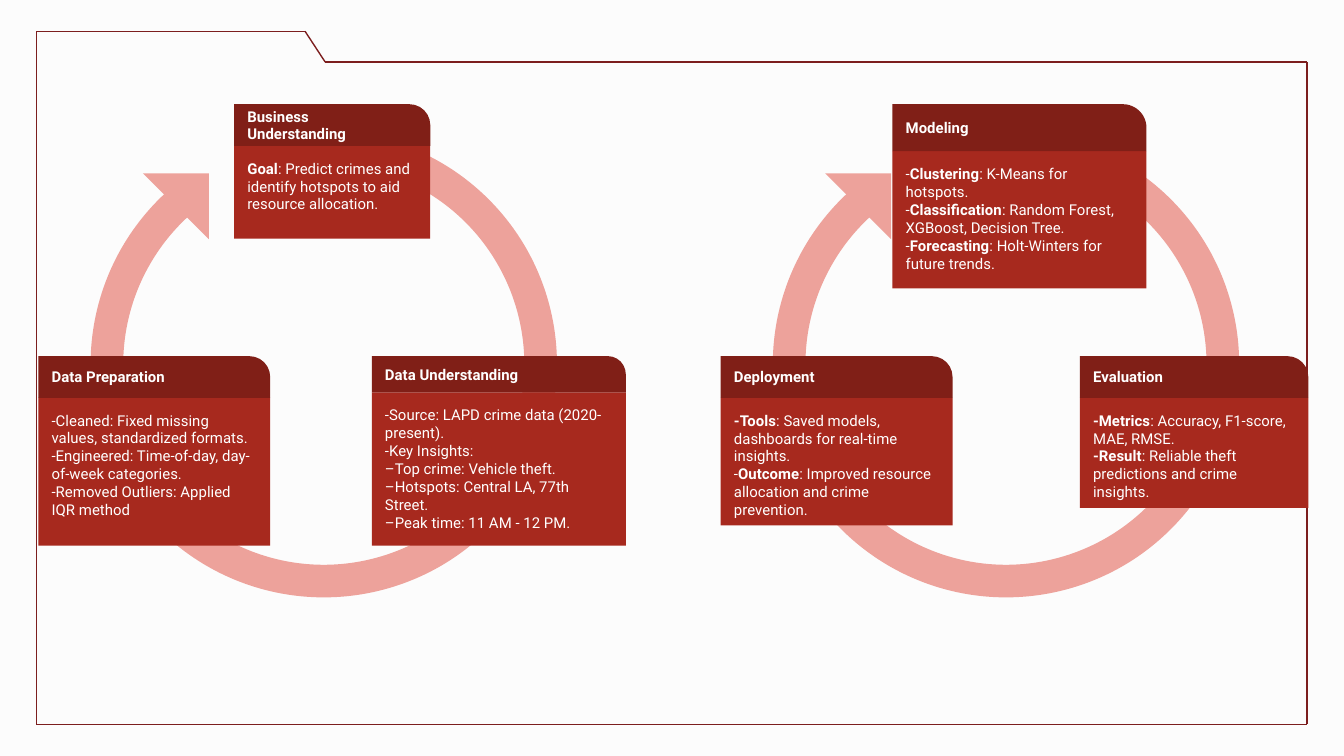
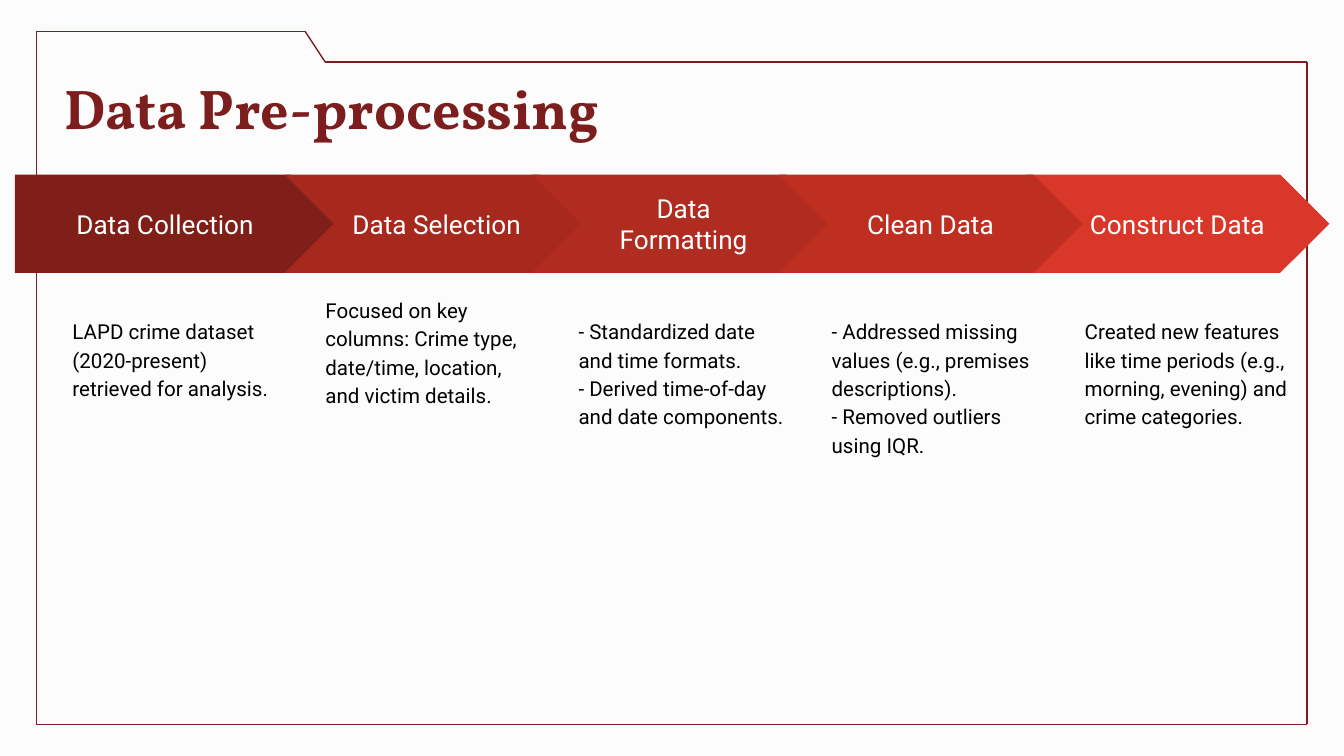
from dataclasses import dataclass

from lxml import etree
from pptx import Presentation
from pptx import util as u
from pptx.dml.color import RGBColor
from pptx.enum import shapes, text
from pptx.oxml.ns import qn


@dataclass(frozen=True)
class Theme:
    paper: str = "FCFCFC"
    frame: str = "7C1E1E"
    header: str = "801F17"
    body: str = "A7291E"
    ring: str = "EDA29B"
    white: str = "FFFFFF"
    black: str = "000000"
    steps: tuple = ("801F17", "A7291E", "B02B20", "BE2F22", "D83729")
    title_font: str = "Vollkorn"
    text_font: str = "Roboto"
    title_size: float = 30
    step_size: float = 14
    note_size: float = 11
    card_size: float = 8


THEME = Theme()
KIND = shapes.MSO_SHAPE
LEFT, CENTER = text.PP_ALIGN.LEFT, text.PP_ALIGN.CENTER
TOP, MIDDLE = text.MSO_ANCHOR.TOP, text.MSO_ANCHOR.MIDDLE

# Widescreen slide and grid: 100 columns wide, square cells
prs = Presentation()
prs.slide_width = u.Inches(10)
prs.slide_height = prs.slide_width * 9 // 16
CELL = prs.slide_width / 100


def place(slide, kind, fill, *box):
    """Add a filled preset shape, given its box in grid cells."""
    shape = slide.shapes.add_shape(kind, *(round(v * CELL) for v in box))
    shape.shadow.inherit = False
    shape.fill.solid()
    shape.fill.fore_color.rgb = RGBColor.from_string(fill)
    shape.line.fill.background()
    return shape


def write(shape, lines, size, color, align=LEFT, anchor=TOP, font=THEME.text_font, spacing=None):
    """Fill a shape with paragraphs; parts between asterisks are bold."""
    frame = shape.text_frame
    frame.word_wrap = True
    frame.auto_size = text.MSO_AUTO_SIZE.NONE
    frame.vertical_anchor = anchor
    frame.margin_left = frame.margin_right = frame.margin_top = frame.margin_bottom = round(CELL)
    for number, line in enumerate(lines):
        paragraph = frame.add_paragraph() if number else frame.paragraphs[0]
        paragraph.alignment = align
        if spacing:
            paragraph.line_spacing = spacing
        for index, part in enumerate(line.split("*")):
            if part:
                run = paragraph.add_run()
                run.text = part
                run.font.name, run.font.size = font, u.Pt(size)
                run.font.bold = index % 2 == 1
                run.font.color.rgb = RGBColor.from_string(color)


# Shared background and folder frame
background = prs.slide_master.background.fill
background.solid()
background.fore_color.rgb = RGBColor.from_string(THEME.paper)

cycles = prs.slides.add_slide(prs.slide_layouts[6])
process = prs.slides.add_slide(prs.slide_layouts[5])

corners = [(2.7, 2.33), (22.7, 2.33), (24.2, 4.62), (97.25, 4.62), (97.25, 53.9), (2.7, 53.9)]
for slide in (cycles, process):
    for start, end in zip(corners, corners[1:] + corners[:1]):
        edge = slide.shapes.add_connector(
            shapes.MSO_CONNECTOR.STRAIGHT, *(round(v * CELL) for v in start + end))
        edge.line.color.rgb = RGBColor.from_string(THEME.frame)
        edge.line.width = u.Pt(0.75)
        etree.SubElement(edge._element.spPr, qn("a:effectLst"))

# Slide 1: two cycles, each card as left, top, width, header height, body height
UPPER, LOWER = 7.75, 26.5
model_cards = [
    (80.35, LOWER, 17, 3.1, 8.2, "Evaluation", [
        "*-Metrics*: Accuracy, F1-score, MAE, RMSE.",
        "*-Result*: Reliable theft predictions and crime insights."]),
    (66.4, UPPER, 18.9, 3.5, 10.2, "Modeling", [
        "-*Clustering*: K-Means for hotspots.",
        "-*Classification*: Random Forest, XGBoost, Decision Tree.",
        "-*Forecasting*: Holt-Winters for future trends."]),
    (53.63, LOWER, 17.25, 3.1, 9.5, "Deployment", [
        "*-Tools*: Saved models, dashboards for real-time insights.",
        "-*Outcome*: Improved resource allocation and crime prevention."]),
]
data_cards = [
    (27.66, LOWER, 18.9, 2.7, 11.4, "Data Understanding", [
        "-Source: LAPD crime data (2020-present).",
        "-Key Insights:",
        "–Top crime: Vehicle theft.",
        "–Hotspots: Central LA, 77th Street.",
        "–Peak time: 11 AM - 12 PM."]),
    (17.42, UPPER, 14.6, 3.1, 6.9, "Business Understanding", [
        "*Goal*: Predict crimes and identify hotspots to aid resource allocation."]),
    (2.86, LOWER, 17.25, 3.1, 11, "Data Preparation", [
        "-Cleaned: Fixed missing values, standardized formats.",
        "-Engineered: Time-of-day, day-of-week categories.",
        "-Removed Outliers: Applied IQR method"]),
]
for ring_left, cards in ((57.5, model_cards), (6.74, data_cards)):
    ring = place(cycles, KIND.BLOCK_ARC, THEME.ring, ring_left, 9.75, 34.7, 34.7)
    for index, value in enumerate((54, 30.13, 0.07)):
        ring.adjustments[index] = value
    tip = place(cycles, KIND.RIGHT_TRIANGLE, THEME.ring, ring_left + 3.9, 12.9, 4.9, 4.9)
    ring.rotation = tip.rotation = 180
    for left, top, width, header_height, body_height, heading, points in cards:
        body = place(cycles, KIND.RECTANGLE, THEME.body,
                     left, top + header_height, width, body_height)
        write(body, points, THEME.card_size, THEME.white)
        header = place(cycles, KIND.ROUND_1_RECTANGLE, THEME.header,
                       left, top, width, header_height)
        header.adjustments[0] = 0.5
        write(header, [f"*{heading}*"], THEME.card_size, THEME.white, anchor=MIDDLE)

# Slide 2: title
title = process.shapes.title
title.left, title.top, title.width, title.height = (round(v * CELL) for v in (3.8, 4.75, 43.7, 6.7))
write(title, ["*Data Pre-processing*"], THEME.title_size, THEME.frame,
      anchor=text.MSO_ANCHOR.BOTTOM, font=THEME.title_font)

# Slide 2: row of steps with a note under each
steps = [
    ("Data Collection", 22.5, ["LAPD crime dataset (2020-present) retrieved for analysis."]),
    ("Data Selection", 20.9, [
        "Focused on key columns: Crime type, date/time, location, and victim details."]),
    ("Data Formatting", 22.5, [
        "- Standardized date and time formats.",
        "- Derived time-of-day and date components."]),
    ("Clean Data", 22.5, [
        "- Addressed missing values (e.g., premises descriptions).",
        "- Removed outliers using IQR."]),
    ("Construct Data", 22.5, [
        "Created new features like time periods (e.g., morning, evening) and crime categories."]),
]
STEP_PITCH, NOTE_PITCH = 18.37, 18.83
for column in (0, 1, 2, 4, 3):  # the fourth arrow lies over the fifth
    name, note_top, points = steps[column]
    if column == 0:
        arrow = place(process, KIND.PENTAGON, THEME.steps[0], 1.1, 13, 24.2, 7.3)
    else:
        arrow = place(process, KIND.CHEVRON, THEME.steps[column],
                      21.2 + (column - 1) * STEP_PITCH, 13, 22.6, 7.3)
    arrow.adjustments[0] = 0.5
    write(arrow, [name], THEME.step_size, THEME.white, CENTER, MIDDLE)
    note = process.shapes.add_textbox(
        *(round(v * CELL) for v in (4.4 + column * NOTE_PITCH, note_top, 17.8, 25.7)))
    write(note, points, THEME.note_size, THEME.black, spacing=1.15)

prs.save("out.pptx")
